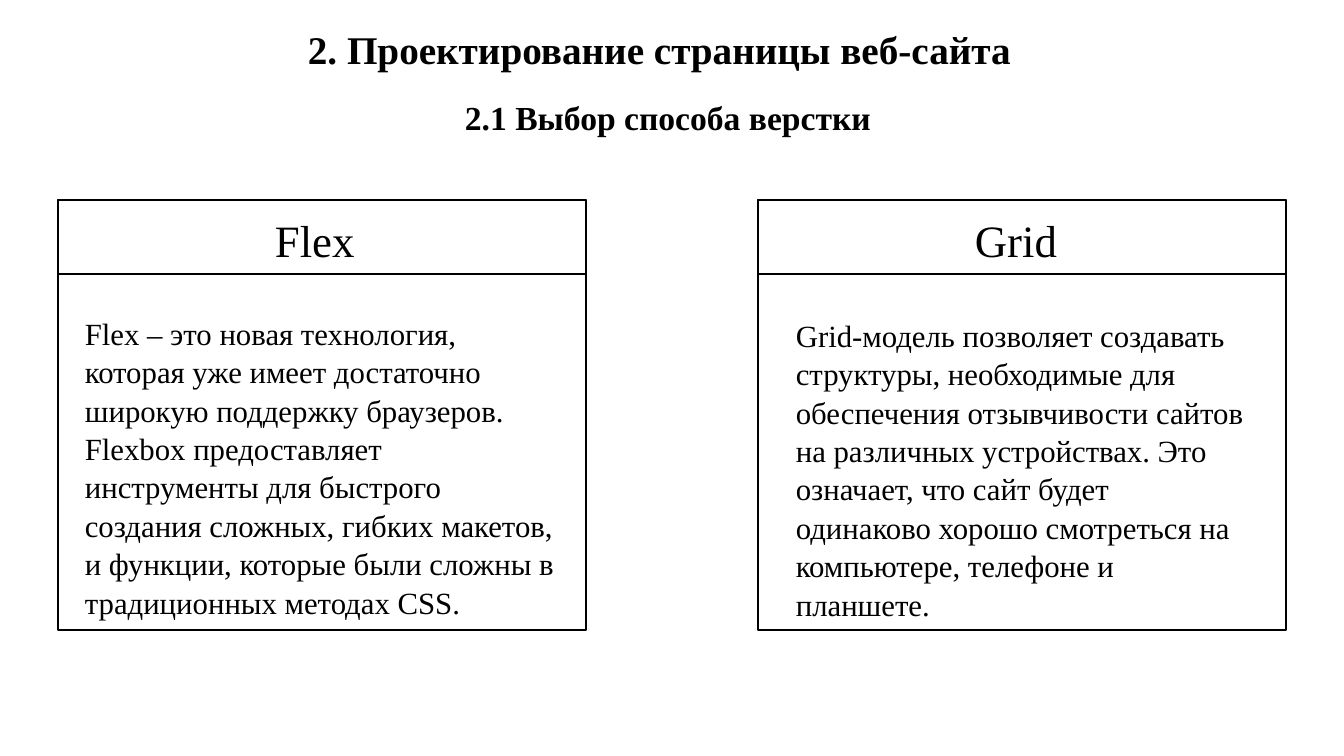
from pptx import Presentation
from pptx.dml.color import RGBColor
from pptx.enum.shapes import MSO_SHAPE
from pptx.enum.text import MSO_ANCHOR, PP_ALIGN
from pptx.util import Emu, Pt

BLACK = RGBColor(0, 0, 0)
EMU_PER_PX = 914400 / 100.8
CARD_TOP, CARD_WIDTH, CARD_HEIGHT, HEADER_HEIGHT = 200, 528, 430, 74

FLEX_TEXT = (
    "Flex – это новая технология, которая уже имеет достаточно широкую "
    "поддержку браузеров. Flexbox предоставляет инструменты для быстрого "
    "создания сложных, гибких макетов, и функции, которые были сложны в "
    "традиционных методах CSS."
)
GRID_TEXT = (
    "Grid-модель позволяет создавать структуры, необходимые для обеспечения "
    "отзывчивости сайтов на различных устройствах. Это означает, что сайт "
    "будет одинаково хорошо смотреться на компьютере, телефоне и планшете."
)


def px(length):
    return Emu(round(length * EMU_PER_PX))


def write(text_frame, text, *, size, font, color, bold=False, spacing=1.04):
    text_frame.word_wrap = True
    text_frame.vertical_anchor = MSO_ANCHOR.TOP
    paragraph = text_frame.paragraphs[0]
    paragraph.alignment = PP_ALIGN.LEFT
    paragraph.line_spacing = spacing
    run = paragraph.add_run()
    run.text = text
    run.font.name = font
    run.font.size = Pt(size)
    run.font.bold = bold
    run.font.color.rgb = color


class SlideBuilder:
    """Draws headings and framed cards on one slide in a shared style."""

    def __init__(self, slide, font="Times New Roman", color=BLACK):
        self.slide = slide
        self.font = font
        self.color = color

    def text(self, text, left, top, width, height, **style):
        box = self.slide.shapes.add_textbox(px(left), px(top), px(width), px(height))
        write(box.text_frame, text, font=self.font, color=self.color, **style)

    def frame(self, left, top, width, height):
        shape = self.slide.shapes.add_shape(
            MSO_SHAPE.RECTANGLE, px(left), px(top), px(width), px(height)
        )
        shape.shadow.inherit = False
        shape.fill.background()
        shape.line.color.rgb = self.color
        shape.line.width = Pt(1)

    def card(self, left, name, name_width, body, body_left, body_top, body_width):
        self.text(body, body_left, body_top, body_width, 340, size=22)
        for height in (CARD_HEIGHT, HEADER_HEIGHT):
            self.frame(left, CARD_TOP, CARD_WIDTH, height)
        self.text(name, left + 207, CARD_TOP + 6, name_width, 64, size=32)


def main():
    presentation = Presentation()
    presentation.slide_width = px(1344)
    presentation.slide_height = px(756)
    slide = presentation.slides.add_slide(presentation.slide_layouts[6])
    builder = SlideBuilder(slide)
    builder.text("2. Проектирование страницы веб-сайта", 298, 17, 747, 105,
                 size=28, bold=True, spacing=1.07)
    builder.text("2.1 Выбор способа верстки", 455, 89, 433, 92,
                 size=24, bold=True, spacing=1.07)
    builder.card(58, "Flex", 100, FLEX_TEXT, 75, 308, 494)
    builder.card(758, "Grid", 115, GRID_TEXT, 786, 310, 471)
    presentation.save("out.pptx")


if __name__ == "__main__":
    main()
